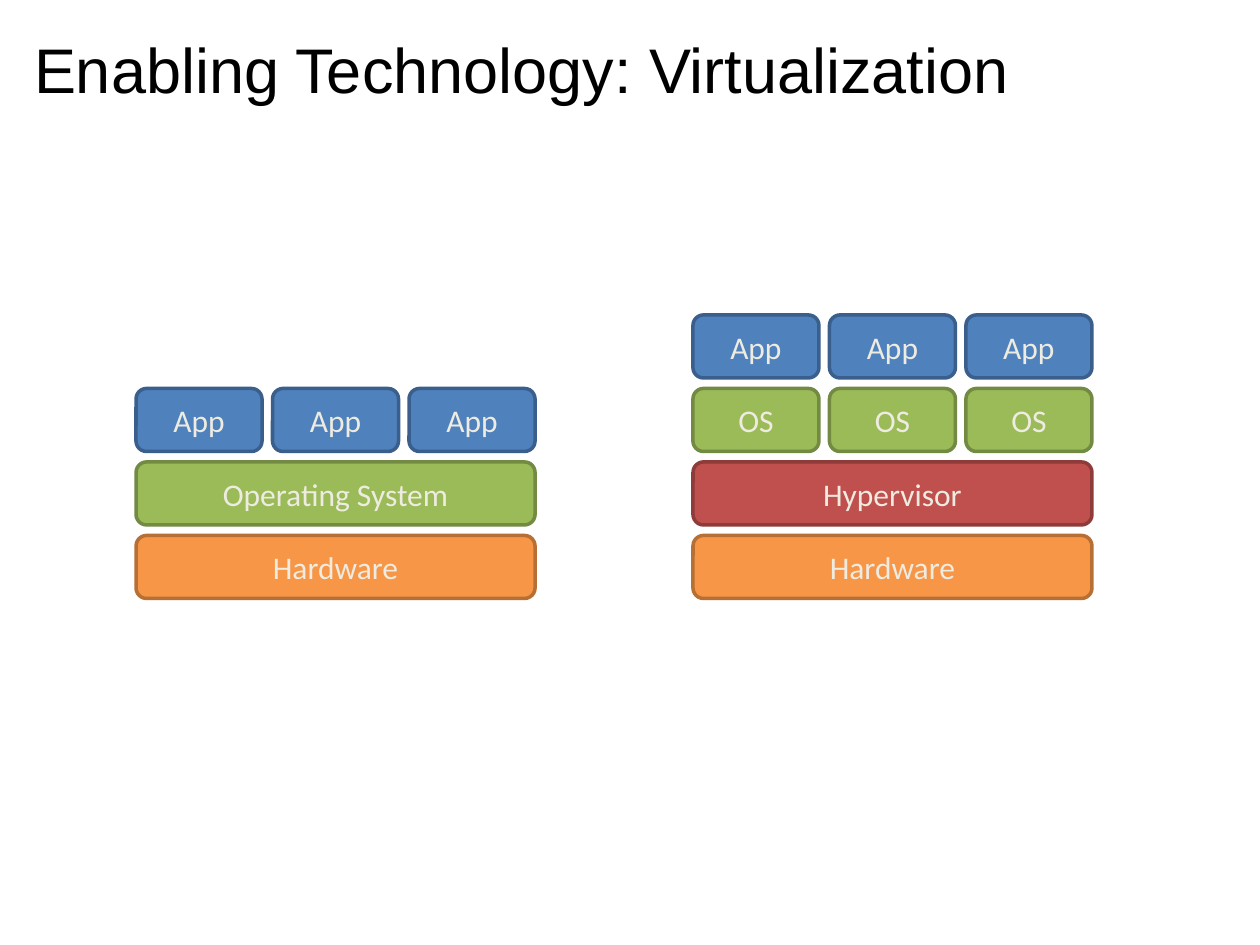
from pptx import Presentation
from pptx.dml.color import RGBColor
from pptx.enum.shapes import MSO_SHAPE
from pptx.enum.text import MSO_ANCHOR, PP_ALIGN
from pptx.util import Inches, Pt

ROUNDED = MSO_SHAPE.ROUNDED_RECTANGLE
MIDDLE = MSO_ANCHOR.MIDDLE
LEFT, CENTER = PP_ALIGN.LEFT, PP_ALIGN.CENTER

BLACK = RGBColor(0x00, 0x00, 0x00)
CREAM = RGBColor(0xEE, 0xEC, 0xE1)
BLUE = (RGBColor(0x4F, 0x81, 0xBD), RGBColor(0x3A, 0x5F, 0x8C))
GREEN = (RGBColor(0x9B, 0xBB, 0x59), RGBColor(0x73, 0x8A, 0x42))
RED = (RGBColor(0xC0, 0x50, 0x4D), RGBColor(0x8E, 0x3B, 0x39))
ORANGE = (RGBColor(0xF7, 0x96, 0x46), RGBColor(0xB7, 0x6F, 0x34))

GAP = Inches(1 / 12)
LAYER_HEIGHT = Inches(0.5)
STACK_WIDTH = Inches(3) + 2 * GAP
STACK_BOTTOM = Inches(4.75)

TRADITIONAL = [
    (["Hardware"], ORANGE),
    (["Operating System"], GREEN),
    (["App"] * 3, BLUE),
]
VIRTUALIZED = [
    (["Hardware"], ORANGE),
    (["Hypervisor"], RED),
    (["OS"] * 3, GREEN),
    (["App"] * 3, BLUE),
]


def write_text(frame, text, font_name, size, color, alignment):
    """Write one vertically centred line of text into a frame."""
    frame.word_wrap = True
    frame.vertical_anchor = MIDDLE
    para = frame.paragraphs[0]
    para.alignment = alignment
    span = para.add_run()
    span.text = text
    span.font.name = font_name
    span.font.size = Pt(size)
    span.font.color.rgb = color


def place_title(page, text, left, top, width, height):
    """Move the title placeholder into the given box and fill it."""
    title = page.shapes.title
    title.left, title.top, title.width, title.height = left, top, width, height
    write_text(title.text_frame, text, "Arial", 36, BLACK, LEFT)


def add_block(group, label, colors, left, top, width, height):
    """Add one labelled rounded block to a stack."""
    block = group.shapes.add_shape(ROUNDED, left, top, width, height)
    block.shadow.inherit = False
    fill, outline = colors
    block.fill.solid()
    block.fill.fore_color.rgb = fill
    block.line.color.rgb = outline
    block.line.width = Pt(2)
    write_text(block.text_frame, label, "Calibri", 18, CREAM, CENTER)


def add_stack(page, layers, left, bottom, width):
    """Pile layers upward from the bottom, sharing each row equally."""
    group = page.shapes.add_group_shape()
    for level, (labels, colors) in enumerate(layers):
        top = bottom - LAYER_HEIGHT - level * (LAYER_HEIGHT + GAP)
        block_width = (width - GAP * (len(labels) - 1)) // len(labels)
        for column, label in enumerate(labels):
            block_left = left + column * (block_width + GAP)
            add_block(group, label, colors, block_left, top, block_width, LAYER_HEIGHT)


def main():
    """Build the virtualization slide and save it."""
    deck = Presentation()
    deck.slide_width, deck.slide_height = Inches(10), Inches(7.5)
    page = deck.slides.add_slide(deck.slide_layouts[5])
    place_title(page, "Enabling Technology: Virtualization",
                Inches(0.17), Inches(0.17), Inches(9), Inches(0.75))
    add_stack(page, TRADITIONAL, Inches(1.08), STACK_BOTTOM, STACK_WIDTH)
    add_stack(page, VIRTUALIZED, Inches(5.5), STACK_BOTTOM, STACK_WIDTH)
    deck.save("out.pptx")


if __name__ == "__main__":
    main()
